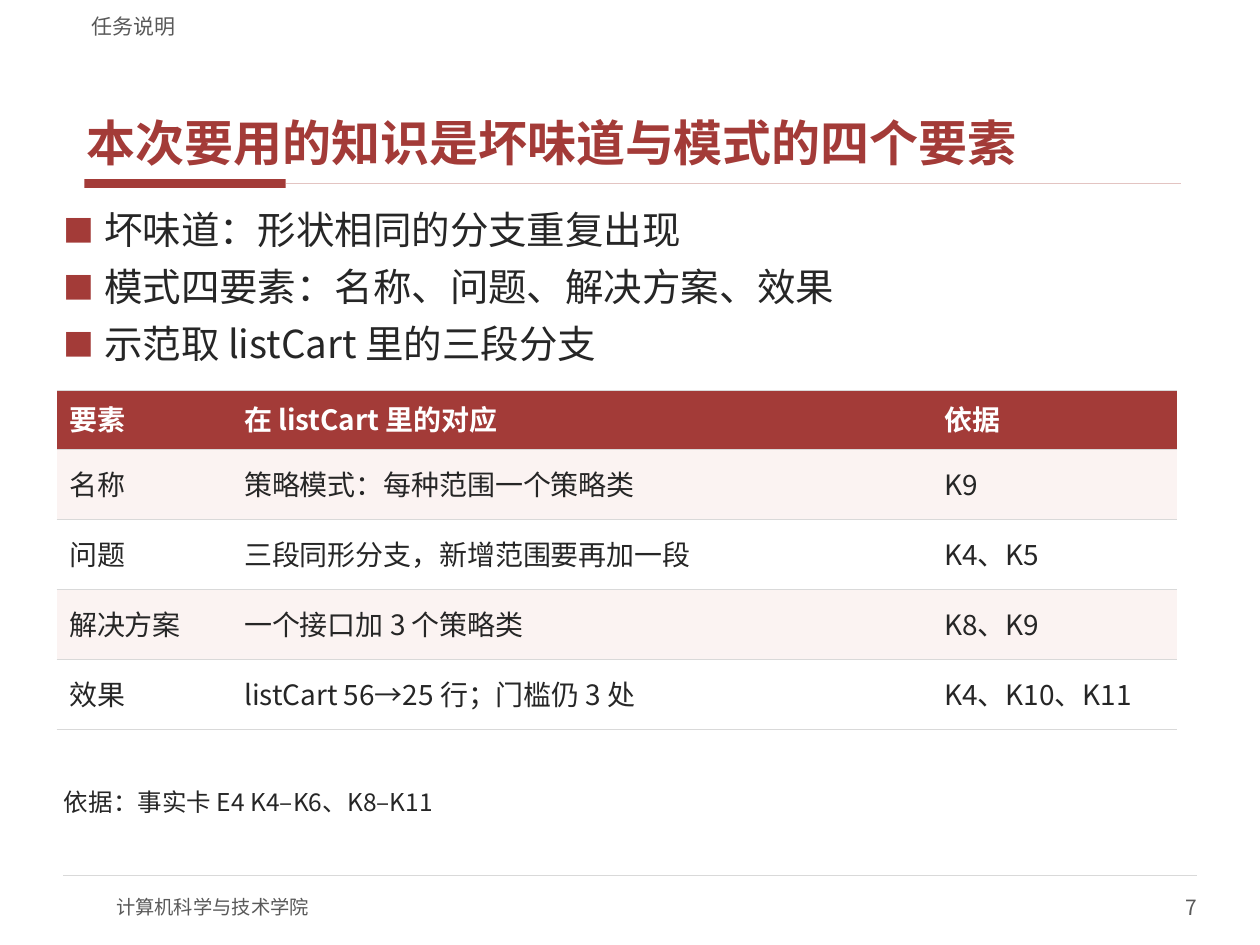
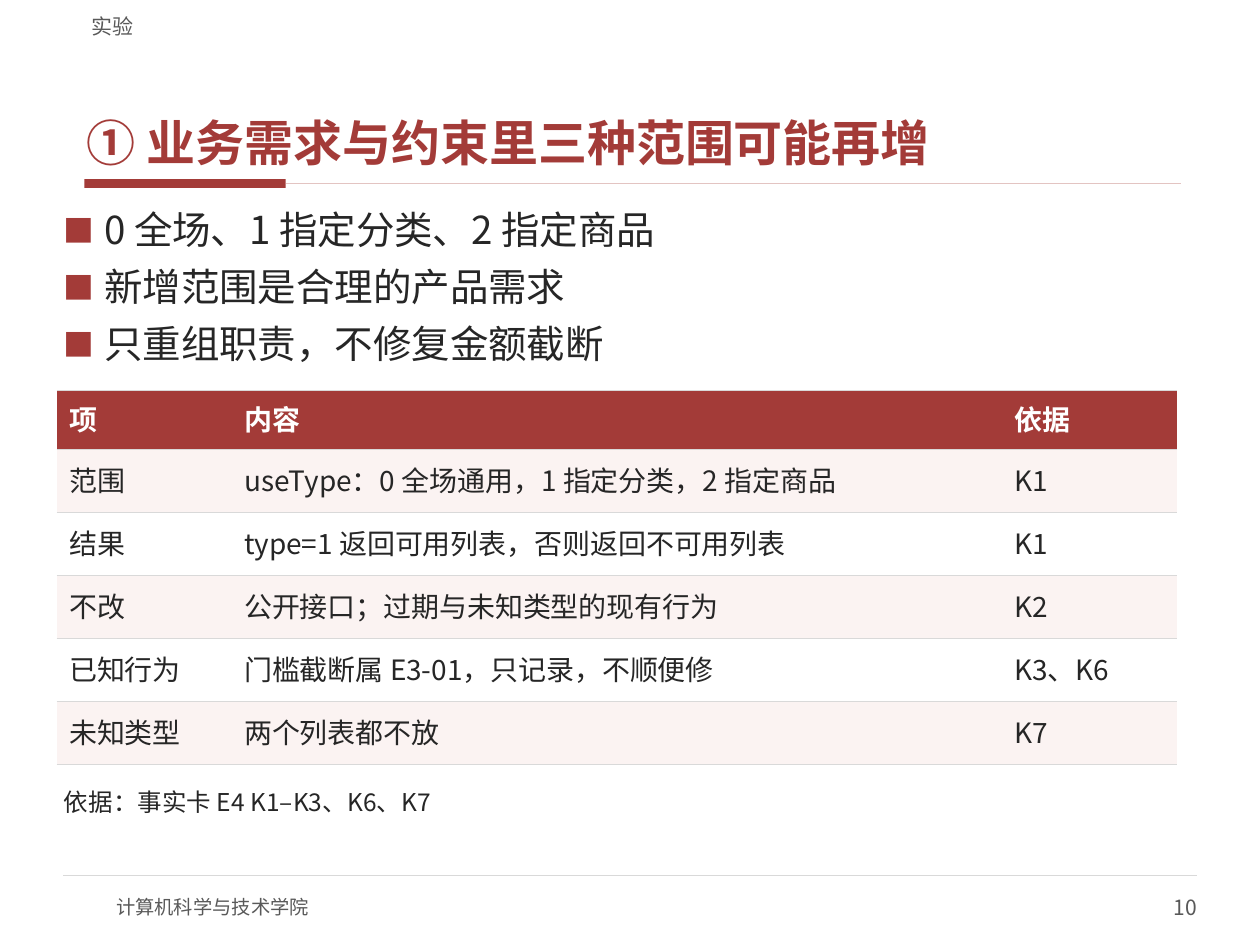
from lxml.etree import SubElement
from pptx import Presentation
from pptx.dml.color import RGBColor
from pptx.enum.shapes import MSO_CONNECTOR as Connector, MSO_SHAPE as Preset
from pptx.enum.text import MSO_ANCHOR as Anchor, MSO_AUTO_SIZE as AutoSize, PP_ALIGN as Align
from pptx.oxml.ns import qn
from pptx.util import Cm, Pt

SLIDES = [
    {
        "section": "任务说明",
        "number": "7",
        "title": "本次要用的知识是坏味道与模式的四个要素",
        "bullets": [
            "坏味道：形状相同的分支重复出现",
            "模式四要素：名称、问题、解决方案、效果",
            "示范取 listCart 里的三段分支",
        ],
        "column_weights": (10, 40, 14),
        "row_height": 1.41,
        "table": [
            ("要素", "在 listCart 里的对应", "依据"),
            ("名称", "策略模式：每种范围一个策略类", "K9"),
            ("问题", "三段同形分支，新增范围要再加一段", "K4、K5"),
            ("解决方案", "一个接口加 3 个策略类", "K8、K9"),
            ("效果", "listCart 56→25 行；门槛仍 3 处", "K4、K10、K11"),
        ],
        "evidence": "依据：事实卡 E4 K4–K6、K8–K11",
    },
    {
        "section": "实验",
        "number": "10",
        "title": "① 业务需求与约束里三种范围可能再增",
        "bullets": [
            "0 全场、1 指定分类、2 指定商品",
            "新增范围是合理的产品需求",
            "只重组职责，不修复金额截断",
        ],
        "column_weights": (10, 44, 10),
        "row_height": 1.27,
        "table": [
            ("项", "内容", "依据"),
            ("范围", "useType：0 全场通用，1 指定分类，2 指定商品", "K1"),
            ("结果", "type=1 返回可用列表，否则返回不可用列表", "K1"),
            ("不改", "公开接口；过期与未知类型的现有行为", "K2"),
            ("已知行为", "门槛截断属 E3-01，只记录，不顺便修", "K3、K6"),
            ("未知类型", "两个列表都不放", "K7"),
        ],
        "evidence": "依据：事实卡 E4 K1–K3、K6、K7",
    },
]
SCHOOL = "计算机科学与技术学院"
FONT = "Noto Sans CJK SC"
RED, PALE_RED, BLUSH = "A33B38", "E3C4C2", "FBF3F2"
INK, GRAY, RULE, WHITE = "262626", "595959", "D9D9D9", "FFFFFF"

# Centimetres: left, top, width, height
SECTION_BOX = (1.6, 0.1, 22.23, 0.69)
TITLE_BOX = (1.6, 0.84, 22.23, 2.67)
TITLE_BAR = (1.7, 3.61, 4.06, 0.18)
BULLET_BOX = (1.14, 4.11, 23.11, 3.48)
EVIDENCE_BOX = (1.14, 15.82, 23.11, 1.27)
SCHOOL_BOX = (2.34, 17.78, 10.16, 1.02)
NUMBER_BOX = (19.05, 17.78, 5.08, 1.02)
TABLE_LEFT, TABLE_TOP, TABLE_WIDTH, HEADER_HEIGHT = 1.14, 7.87, 22.58, 1.19
TEXT_INSET = (0.15, 0.05)


def color(value):
    return RGBColor.from_string(value)


def cm_all(lengths):
    return [Cm(length) for length in lengths]


def write(frame, lines, size, ink=INK, bold=False, align=Align.LEFT, anchor=Anchor.TOP,
          inset=None, before=0, after=0, spacing=1.0, bullet=None):
    """Fill a text frame or cell's frame; inset is (horizontal, vertical) in cm."""
    if inset:
        frame.word_wrap = True
        frame.auto_size = AutoSize.NONE
        frame.vertical_anchor = anchor
        frame.margin_left = frame.margin_right = Cm(inset[0])
        frame.margin_top = frame.margin_bottom = Cm(inset[1])
    for index, line in enumerate(lines):
        paragraph = frame.add_paragraph() if index else frame.paragraphs[0]
        paragraph.alignment = align
        paragraph.line_spacing = spacing
        paragraph.space_before = Pt(before if index else 0)
        paragraph.space_after = Pt(after)
        if bullet:
            add_bullet(paragraph, bullet)
        run = paragraph.add_run()
        run.text = line
        font = run.font
        font.size, font.bold, font.name = Pt(size), bold, FONT
        font.color.rgb = color(ink)
        SubElement(font._element, qn("a:ea"), typeface=FONT)


def add_bullet(paragraph, character):
    properties = paragraph._p.get_or_add_pPr()
    properties.set("marL", str(Cm(0.81)))
    properties.set("indent", str(-Cm(0.81)))
    bullet_color = SubElement(properties, qn("a:buClr"))
    SubElement(bullet_color, qn("a:srgbClr"), val=RED)
    SubElement(properties, qn("a:buSzPct"), val="80000")
    SubElement(properties, qn("a:buFont"), typeface=FONT)
    SubElement(properties, qn("a:buChar"), char=character)


def add_label(slide, box, text, size, **text_format):
    shape = slide.shapes.add_textbox(*cm_all(box))
    write(shape.text_frame, [text], size, **text_format)


def fill_placeholder(shape, box, lines, size, **text_format):
    shape.left, shape.top, shape.width, shape.height = cm_all(box)
    write(shape.text_frame, lines, size, inset=TEXT_INSET, after=2, **text_format)


def add_rule(slide, left, right, top, line_color, width):
    line = slide.shapes.add_connector(Connector.STRAIGHT, *cm_all((left, top, right, top)))
    line.line.color.rgb = color(line_color)
    line.line.width = Pt(width)
    SubElement(line._element.spPr, qn("a:effectLst"))


def add_frame(slide, section, number):
    """Add the title underline, section label and footer that every slide has."""
    bar = slide.shapes.add_shape(Preset.RECTANGLE, *cm_all(TITLE_BAR))
    bar.shadow.inherit = False
    bar.fill.solid()
    bar.fill.fore_color.rgb = color(RED)
    bar.line.fill.background()
    left, top, width, height = TITLE_BAR
    add_rule(slide, left + width, 23.8, top + height / 2, PALE_RED, 1)
    add_rule(slide, 1.27, 24.13, 17.65, RULE, 0.75)
    footer = {"ink": GRAY, "inset": (0, 0), "anchor": Anchor.MIDDLE}
    add_label(slide, SCHOOL_BOX, SCHOOL, 11, **footer)
    add_label(slide, NUMBER_BOX, number, 12, align=Align.RIGHT, **footer)
    add_label(slide, SECTION_BOX, section, 12, ink=GRAY, inset=(0.25, 0), anchor=Anchor.BOTTOM)


def set_borders(cell):
    """Rule the top and bottom of a cell and leave its sides open."""
    properties = cell._tc.get_or_add_tcPr()
    for side in ("lnL", "lnR"):
        SubElement(SubElement(properties, qn(f"a:{side}"), w="0"), qn("a:noFill"))
    for side in ("lnT", "lnB"):
        border = SubElement(properties, qn(f"a:{side}"), w=str(Pt(0.75)))
        fill = SubElement(border, qn("a:solidFill"))
        SubElement(fill, qn("a:srgbClr"), val=RULE)


def add_element_table(slide, rows, column_weights, row_height):
    heights = [HEADER_HEIGHT] + [row_height] * (len(rows) - 1)
    box = (TABLE_LEFT, TABLE_TOP, TABLE_WIDTH, sum(heights))
    table = slide.shapes.add_table(len(rows), len(column_weights), *cm_all(box)).table
    table.first_row = table.horz_banding = False
    for column, weight in zip(table.columns, column_weights):
        column.width = Cm(TABLE_WIDTH * weight / sum(column_weights))
    for row_index, texts in enumerate(rows):
        table.rows[row_index].height = Cm(heights[row_index])
        header = row_index == 0
        background = RED if header else (WHITE, BLUSH)[row_index % 2]
        for column_index, text in enumerate(texts):
            cell = table.cell(row_index, column_index)
            set_borders(cell)
            cell.fill.solid()
            cell.fill.fore_color.rgb = color(background)
            cell.vertical_anchor = Anchor.MIDDLE
            write(cell.text_frame, [text], 16, ink=WHITE if header else INK,
                  bold=header, after=2, spacing=0.9)


def build_slide(presentation, content):
    slide = presentation.slides.add_slide(presentation.slide_layouts[1])
    add_frame(slide, content["section"], content["number"])
    fill_placeholder(slide.shapes.title, TITLE_BOX, [content["title"]], 28,
                     ink=RED, bold=True, anchor=Anchor.BOTTOM)
    fill_placeholder(slide.placeholders[1], BULLET_BOX, content["bullets"], 22,
                     before=4, bullet="■")
    add_element_table(slide, content["table"], content["column_weights"], content["row_height"])
    add_label(slide, EVIDENCE_BOX, content["evidence"], 14, inset=TEXT_INSET, after=2)


def main():
    presentation = Presentation()
    presentation.slide_width, presentation.slide_height = Cm(25.4), Cm(19.05)
    for content in SLIDES:
        build_slide(presentation, content)
    presentation.save("out.pptx")


if __name__ == "__main__":
    main()
